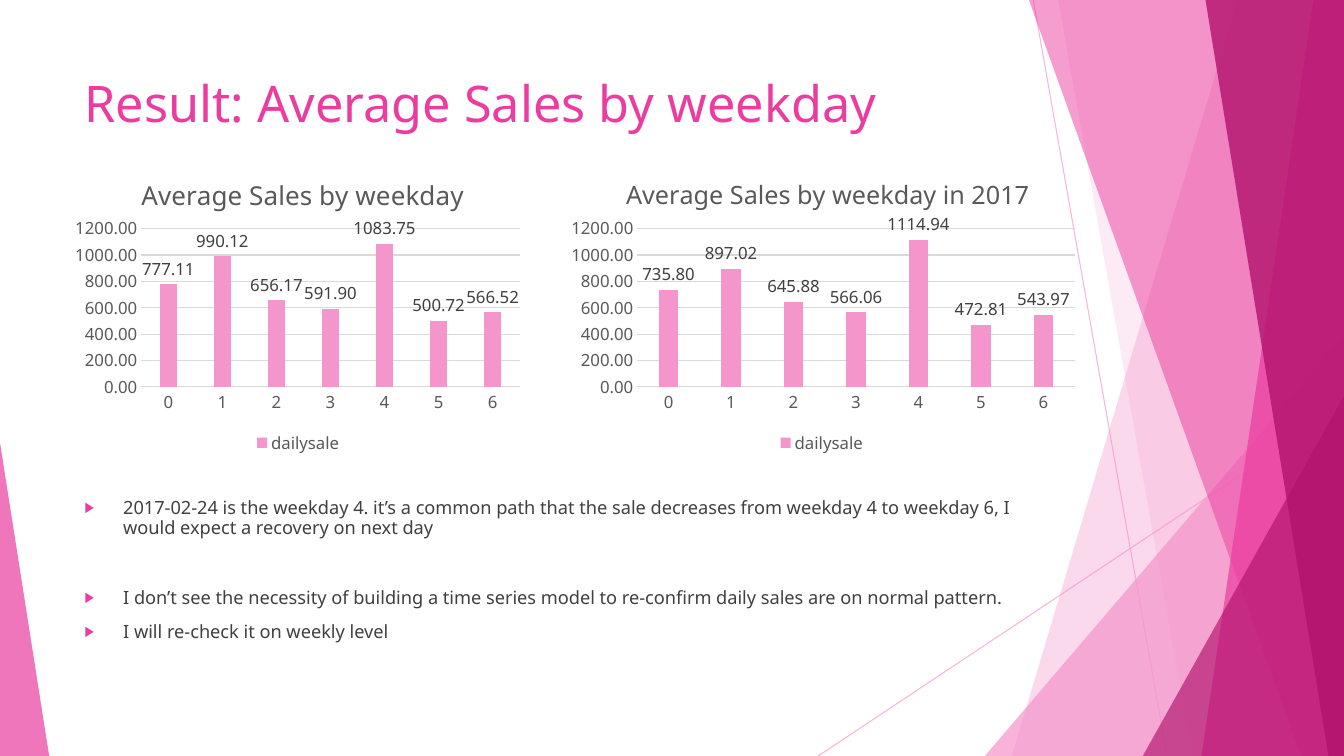
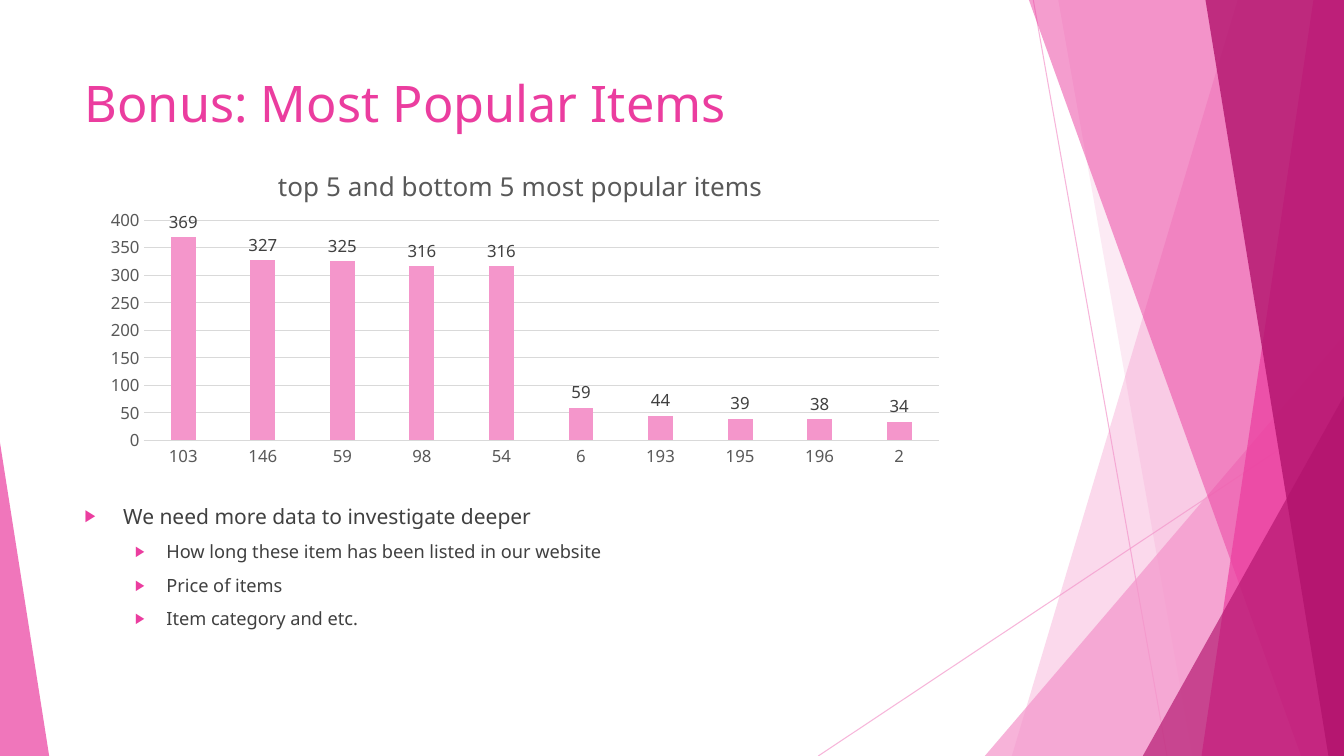
from lxml.etree import SubElement
from pptx import Presentation
from pptx.chart.data import CategoryChartData
from pptx.dml.color import RGBColor
from pptx.enum.chart import XL_CHART_TYPE as ChartType, XL_LABEL_POSITION as LabelPosition
from pptx.enum.chart import XL_LEGEND_POSITION as LegendPosition, XL_TICK_MARK as TickMark
from pptx.enum.shapes import MSO_CONNECTOR as Connector, MSO_SHAPE as Preset
from pptx.enum.text import MSO_ANCHOR as Anchor, MSO_AUTO_SIZE as AutoSize, PP_ALIGN as Align
from pptx.oxml.ns import qn
from pptx.util import Cm, Pt

COLOURS = {"pale": "F496CB", "pink": "EB3D9F", "deep": "B2136D",
           "body": "404040", "label": "595959", "grid": "D9D9D9"}
FONT = "Noto Sans"
WIDTH, HEIGHT = 33.87, 19.05


def write(paragraph, text, size, colour, align=None, before=None, spacing=None,
          level=0, indent=None, hanging=0):
    """Fill a paragraph with formatted text; an indent gives it an arrow bullet."""
    run = paragraph.add_run()
    run.text = text
    run.font.name, run.font.size, run.font.bold = FONT, Pt(size), False
    run.font.color.rgb = RGBColor.from_string(COLOURS[colour])
    paragraph.alignment = align
    paragraph.level = level
    if before is not None:
        paragraph.space_before = Pt(before)
    if spacing is not None:
        paragraph.line_spacing = spacing
    if indent is not None:
        properties = paragraph._p.get_or_add_pPr()
        properties.set("marL", str(Cm(indent)))
        properties.set("indent", str(Cm(-hanging)))
        bullet_colour = SubElement(properties, qn("a:buClr"))
        SubElement(bullet_colour, qn("a:srgbClr"), val=COLOURS["pink"])
        SubElement(properties, qn("a:buSzPct"), val="80000")
        SubElement(properties, qn("a:buChar"), char="▶")


def place(part, position, **values):
    """Give a chart part a manual layout, in fractions of the chart."""
    for old in part.findall(qn("c:layout")):
        part.remove(old)
    layout_part = SubElement(part, qn("c:layout"))
    part.insert(position, layout_part)
    manual = SubElement(layout_part, qn("c:manualLayout"))
    for name, value in values.items():
        SubElement(manual, qn(f"c:{name}"), val=str(value))


deck = Presentation()
deck.slide_width, deck.slide_height = Cm(WIDTH), Cm(HEIGHT)

# Shared layout: title place and the pink facets
layout = deck.slide_layouts[1]
for placeholder in list(layout.placeholders):
    if placeholder.placeholder_format.idx >= 10:
        placeholder.element.getparent().remove(placeholder.element)
heading = layout.placeholders[0]
heading.left, heading.top, heading.width, heading.height = Cm(1.88), Cm(1.7), Cm(23.88), Cm(3.66)
heading.text_frame.vertical_anchor = Anchor.TOP

results, bonus = [deck.slides.add_slide(layout) for _ in range(2)]

facets = results.shapes.add_group_shape()
for start_x, start_y, end_x in [(26.04, 0, 29.41), (WIDTH, 10.24, 20.62)]:
    ray = facets.shapes.add_connector(Connector.STRAIGHT, Cm(start_x), Cm(start_y), Cm(end_x), Cm(HEIGHT))
    ray.line.width = Pt(0.75)
    ray.line.color.rgb = RGBColor.from_string(COLOURS["pale"])
    ray_colour = next(ray.element.iter(qn("a:srgbClr")))
    SubElement(ray_colour, qn("a:alpha"), val="70000")
    SubElement(ray.element.spPr, qn("a:effectLst"))

# Bands: top x and bottom x of the left edge. Corners: left, top, width, apex.
for geometry, colour, opacity in [
    ((31.19, 25.5), "pale", 36),
    ((26.67, 30.05), "pale", 20),
    ((24.82, 8.46, 9.05, 1), "pale", 72),
    ((25.93, 32.79), "pink", 50),
    ((33.1, 30.28), "pink", 70),
    ((30.38, 33.48), "deep", 80),
    ((28.8, 9.98, 5.07, 1), "deep", 66),
    ((0, 11.15, 1.24, 0), "pink", 70),
]:
    if len(geometry) == 2:
        top_x, bottom_x = geometry
        edge = facets.shapes.build_freeform(Cm(top_x), 0)
        edge.add_line_segments([(Cm(WIDTH), 0), (Cm(WIDTH), Cm(HEIGHT)), (Cm(bottom_x), Cm(HEIGHT))])
        facet = edge.convert_to_shape()
    else:
        left, top, width, apex = geometry
        facet = facets.shapes.add_shape(Preset.ISOSCELES_TRIANGLE, Cm(left), Cm(top), Cm(width), Cm(HEIGHT - top))
        facet.adjustments[0] = apex
    facet.shadow.inherit = False
    facet.line.fill.background()
    facet.fill.solid()
    facet.fill.fore_color.rgb = RGBColor.from_string(COLOURS[colour])
    facet_colour = next(facet.element.spPr.iter(qn("a:srgbClr")))
    SubElement(facet_colour, qn("a:alpha"), val=str(opacity * 1000))
layout.shapes.element.insert(2, facets.element)

# Titles and lists; each item is text, level, size, space before
for slide, title, box, items in [
    (results, "Result: Average Sales by weekday", (1.88, 12.45, 24.18, 4.34), [
        ("2017-02-24 is the weekday 4. it’s a common path that the sale decreases from weekday 4 "
         "to weekday 6, I would expect a recovery on next day", 0, 13, 10),
        ("I don’t see the necessity of building a time series model to re-confirm daily sales "
         "are on normal pattern.", 0, 13, 36),
        ("I will re-check it on weekly level", 0, 13, 10),
    ]),
    (bonus, "Bonus: Most Popular Items", (1.88, 12.62, 22.76, 4.17), [
        ("We need more data to investigate deeper", 0, 15, 10),
        ("How long these item has been listed in our website", 1, 13, 10),
        ("Price of items", 1, 13, 10),
        ("Item category and etc.", 1, 13, 10),
    ]),
]:
    write(slide.shapes.title.text_frame.paragraphs[0], title, 36, "pink", align=Align.LEFT)
    findings = slide.placeholders[1]
    findings.left, findings.top, findings.width, findings.height = map(Cm, box)
    frame = findings.text_frame
    frame.auto_size = AutoSize.NONE
    frame.vertical_anchor = Anchor.TOP
    for number, (text, level, size, before) in enumerate(items):
        paragraph = frame.add_paragraph() if number else frame.paragraphs[0]
        indent, hanging = [(0.97, 0.97), (2.06, 0.79)][level]
        write(paragraph, text, size, "body", before=before, spacing=0.9,
              level=level, indent=indent, hanging=hanging)

# Charts: box in cm, then title and plot places as fractions of the chart
weekdays = [str(day) for day in range(7)]
items_sold = ["103", "146", "59", "98", "54", "6", "193", "195", "196", "2"]
for slide, title, title_size, box, title_at, plot_at, series, categories, values, number_format, top_value, step in [
    (results, "Average Sales by weekday", 18.6, (1.7, 3.73, 11.63, 7.82), (0.15, 0.07),
     (0.16, 0.26, 0.82, 0.51), "dailysale", weekdays,
     [777.11, 990.12, 656.17, 591.90, 1083.75, 500.72, 566.52], "0.00", 1200, 200),
    (results, "Average Sales by weekday in 2017", 18, (14.07, 3.73, 13.28, 7.82), (0.12, 0.07),
     (0.15, 0.26, 0.83, 0.51), "dailysale", weekdays,
     [735.80, 897.02, 645.88, 566.06, 1114.94, 472.81, 543.97], "0.00", 1200, 200),
    (bonus, "top 5 and bottom 5 most popular items", 18.6, (2.31, 3.53, 21.79, 8.41), (0.21, 0.06),
     (0.06, 0.24, 0.92, 0.66), "Series 1", items_sold,
     [369, 327, 325, 316, 316, 59, 44, 39, 38, 34], "General", 400, 50),
]:
    sales = CategoryChartData(number_format=number_format)
    sales.categories = categories
    sales.add_series(series, values)
    chart = slide.shapes.add_chart(ChartType.COLUMN_CLUSTERED, *map(Cm, box), sales).chart
    chart.font.name, chart.font.size = FONT, Pt(12)
    chart.font.color.rgb = RGBColor.from_string(COLOURS["label"])

    chart.has_title = True
    write(chart.chart_title.text_frame.paragraphs[0], title, title_size, "label")
    chart.chart_title.include_in_layout = False
    title_x, title_y = title_at
    place(chart.chart_title._element, 1, xMode="edge", yMode="edge", x=title_x, y=title_y)
    plot_x, plot_y, plot_width, plot_height = plot_at
    place(chart._chartSpace.chart.plotArea, 0, layoutTarget="inner", xMode="edge", yMode="edge",
          x=plot_x, y=plot_y, w=plot_width, h=plot_height)

    chart.has_legend = slide is results
    if chart.has_legend:
        chart.legend.position = LegendPosition.BOTTOM
        chart.legend.include_in_layout = False

    plot = chart.plots[0]
    plot.gap_width, plot.overlap, plot.vary_by_categories = 219, -27, False
    columns = plot.series[0].format.fill
    columns.solid()
    columns.fore_color.rgb = RGBColor.from_string(COLOURS["pale"])
    plot.has_data_labels = True
    labels = plot.data_labels
    labels.show_value, labels.position = True, LabelPosition.OUTSIDE_END
    labels.font.name, labels.font.size = FONT, Pt(12)
    labels.font.color.rgb = RGBColor.from_string(COLOURS["body"])

    amounts = chart.value_axis
    amounts.minimum_scale, amounts.maximum_scale, amounts.major_unit = 0, top_value, step
    amounts.tick_labels.number_format = number_format
    amounts.tick_labels.number_format_is_linked = False
    amounts.format.line.fill.background()
    for axis in (amounts, chart.category_axis):
        axis.major_tick_mark = axis.minor_tick_mark = TickMark.NONE
    for rule in (amounts.major_gridlines.format.line, chart.category_axis.format.line):
        rule.width = Pt(0.75)
        rule.color.rgb = RGBColor.from_string(COLOURS["grid"])

deck.save("out.pptx")
